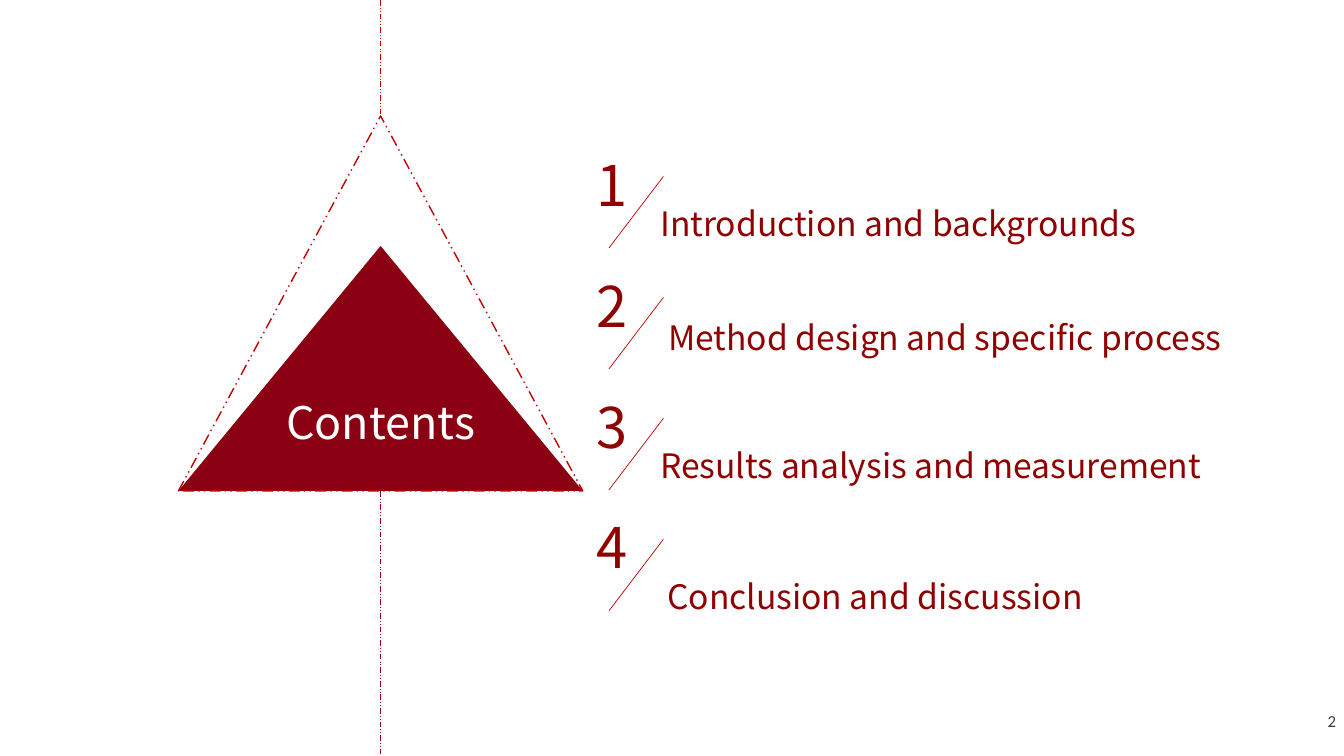
from lxml import etree
from pptx import Presentation
from pptx.dml.color import RGBColor
from pptx.enum.dml import MSO_LINE
from pptx.enum.shapes import MSO_CONNECTOR, MSO_SHAPE
from pptx.enum.text import MSO_ANCHOR, PP_ALIGN
from pptx.oxml.ns import qn
from pptx.util import Inches, Pt

TRIANGLE, STRAIGHT = MSO_SHAPE.ISOSCELES_TRIANGLE, MSO_CONNECTOR.STRAIGHT
DASHED = MSO_LINE.DASH_DOT_DOT
TOP, MIDDLE = MSO_ANCHOR.TOP, MSO_ANCHOR.MIDDLE
LEFT, CENTER, RIGHT = PP_ALIGN.LEFT, PP_ALIGN.CENTER, PP_ALIGN.RIGHT

# Content: heading, then sections as (text, left, top, width)
HEADING = "Contents"
SECTIONS = [
    ("Introduction and backgrounds", 6.45, 1.96, 5.33),
    ("Method design and specific process", 6.53, 3.09, 6.04),
    ("Results analysis and measurement", 6.45, 4.36, 5.81),
    ("Conclusion and discussion", 6.52, 5.66, 4.64),
]
PAGE_NUMBER = "2"

THEME = {
    "font": "Noto Sans CJK SC", "page_font": "Calibri",
    "dark": RGBColor(0x8B, 0x00, 0x12), "accent": RGBColor(0xC0, 0x00, 0x00),
    "text": RGBColor(0x90, 0x00, 0x00), "white": RGBColor(0xFF, 0xFF, 0xFF),
    "page": RGBColor(0x3C, 0x3C, 0x3C),
    "heading_size": 32, "number_size": 40, "section_size": 24, "page_size": 12,
    "outline": 1, "hairline": 0.5,
}

# Layout
SLIDE_W, SLIDE_H = 13.33, 7.5
TRI_LEFT, TRI_W, TRI_BASE = 1.77, 4.01, 4.87
INNER_H, OUTER_H = 2.43, 3.72
AXIS = TRI_LEFT + TRI_W / 2
ROW_TOP, ROW_PITCH = 1.44, 1.2

prs = Presentation()
prs.slide_width, prs.slide_height = Inches(SLIDE_W), Inches(SLIDE_H)
slide = prs.slides.add_slide(prs.slide_layouts[5])
shapes = slide.shapes


def write(box, text, size, color, font=THEME["font"], align=LEFT,
          anchor=TOP, insets=(0.1, 0.05, 0.1, 0.05)):
    frame = box.text_frame
    frame.text = text
    left, top, right, bottom = map(Inches, insets)
    frame_format = {"word_wrap": True, "vertical_anchor": anchor,
                    "margin_left": left, "margin_top": top,
                    "margin_right": right, "margin_bottom": bottom}
    for name, value in frame_format.items():
        setattr(frame, name, value)
    paragraph = frame.paragraphs[0]
    paragraph.alignment = align
    run_font = paragraph.runs[0].font
    run_font.color.rgb = color
    for name, value in {"size": Pt(size), "name": font}.items():
        setattr(run_font, name, value)


def add_text(at, *args, **kwargs):
    write(shapes.add_textbox(*map(Inches, at)), *args, **kwargs)


def add_line(start, end, color, dash=None):
    rule = shapes.add_connector(STRAIGHT, *map(Inches, start + end))
    rule.line.color.rgb = color
    rule.line.width = Pt(THEME["hairline"])
    rule.line.dash_style = dash
    etree.SubElement(rule._element.spPr, qn("a:effectLst"))


def add_triangle(height):
    at = TRI_LEFT, TRI_BASE - height, TRI_W, height
    triangle = shapes.add_shape(TRIANGLE, *map(Inches, at))
    triangle.shadow.inherit = False
    return triangle


# Solid triangle with the heading in its lower half
solid = add_triangle(INNER_H)
solid.fill.solid()
solid.fill.fore_color.rgb = THEME["dark"]
solid.line.fill.background()

heading = shapes.title
heading_at = (AXIS - TRI_W / 4, TRI_BASE - INNER_H / 2, TRI_W / 2, INNER_H / 2)
for side, value in zip(("left", "top", "width", "height"), heading_at):
    setattr(heading, side, Inches(value))
write(heading, HEADING, THEME["heading_size"], THEME["white"],
      align=CENTER, anchor=MIDDLE, insets=(0, 0, 0, 0.16))
solid._element.addnext(heading._element)  # bring the heading in front

# Dashed outer triangle and vertical axis
outer = add_triangle(OUTER_H)
outer.fill.background()
outer.line.color.rgb = THEME["accent"]
outer.line.width = Pt(THEME["outline"])
outer.line.dash_style = DASHED
add_line((AXIS, 0), (AXIS, TRI_BASE - OUTER_H), THEME["accent"], DASHED)
add_line((AXIS, TRI_BASE), (AXIS, SLIDE_H), THEME["dark"], DASHED)

# Numbered sections
for index, (section, left, top, width) in enumerate(SECTIONS):
    row = ROW_TOP + index * ROW_PITCH
    add_text((left, top, width, 0.5), section,
             THEME["section_size"], THEME["text"])
    add_line((6.58, row + 0.31), (6.04, row + 1.02), THEME["accent"])
    add_text((5.82, row, 0.42, 0.77), str(index + 1),
             THEME["number_size"], THEME["text"])

# Page number
add_text((11.78, 6.95, 1.57, 0.4), PAGE_NUMBER, THEME["page_size"],
         THEME["page"], font=THEME["page_font"], align=RIGHT, anchor=MIDDLE)

prs.save("out.pptx")
